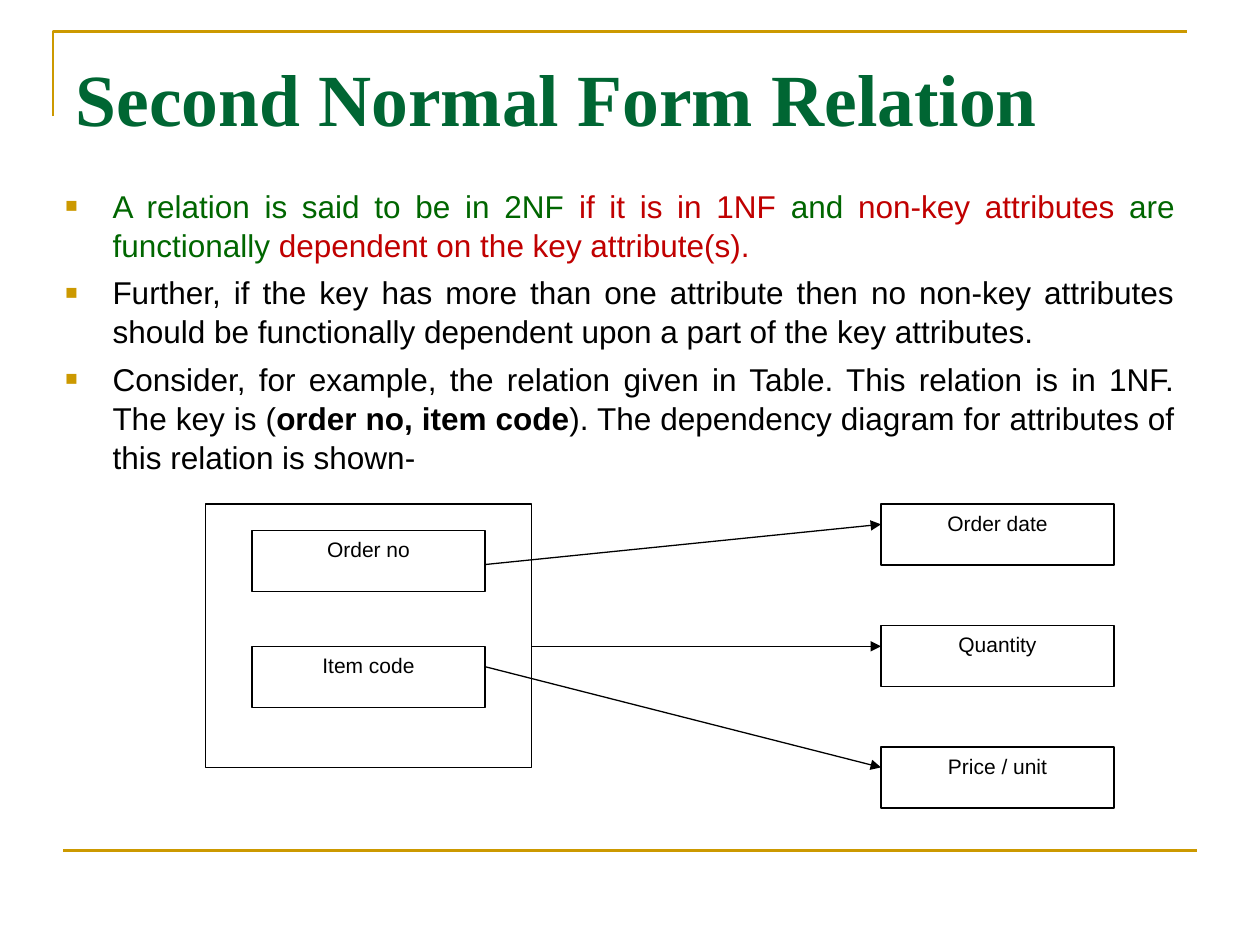
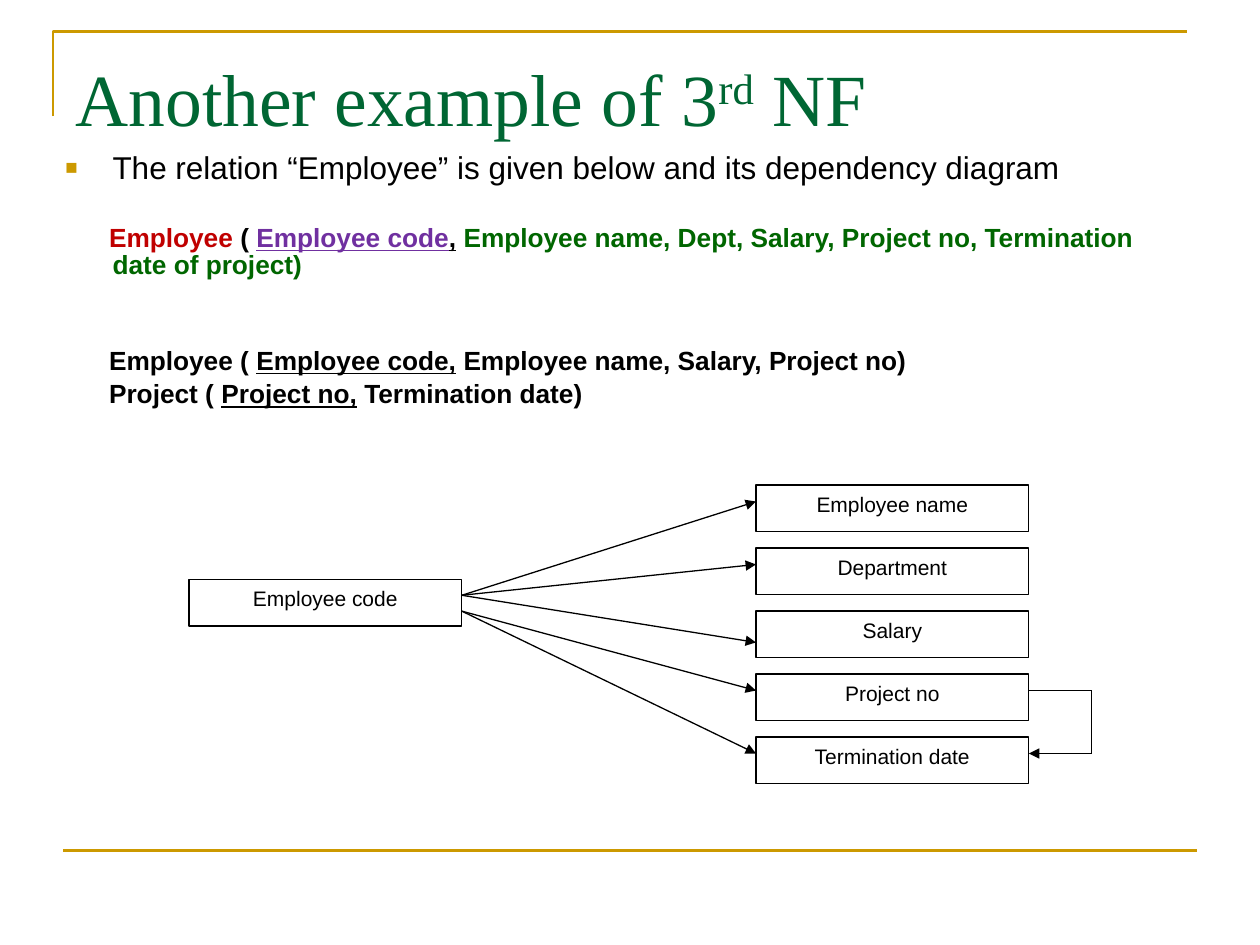
import pptx
import pptx.util
import pptx.dml.color
import pptx.enum.shapes
import pptx.enum.text
import pptx.oxml.ns
from lxml import etree

Cm = pptx.util.Cm
Pt = pptx.util.Pt
ALIGN = pptx.enum.text.PP_ALIGN

COLORS = {
    "gold": "CC9900",
    "title": "006633",
    "green": "006600",
    "red": "C00000",
    "purple": "7030A0",
    "black": "000000",
    "white": "FFFFFF",
}
TEXT_INDENT = 0.95

SECOND_FORM_TITLE = [("Second Normal Form Relation", "bold")]
SECOND_FORM_POINTS = [
    [
        ("A relation is said to be in 2NF ", "green"),
        ("if it is in 1NF ", "red"),
        ("and ", "green"),
        ("non-key attributes ", "red"),
        ("are functionally ", "green"),
        ("dependent on the key attribute(s).", "red"),
    ],
    [("Further, if the key has more than one attribute then no non-key attributes "
      "should be functionally dependent upon a part of the key attributes.", "")],
    [
        ("Consider, for example, the relation given in Table. This relation is in 1NF. "
         "The key is (", ""),
        ("order no, item code", "bold"),
        ("). The dependency diagram for attributes of this relation is shown-", ""),
    ],
]
KEY_ATTRIBUTES = ["Order no", "Item code"]
ORDER_ATTRIBUTES = ["Order date", "Quantity", "Price / unit"]

THIRD_FORM_TITLE = [("Another example of 3", ""), ("rd", "superscript"), (" NF", "")]
THIRD_FORM_POINT = [("The relation “Employee” is given below and its dependency diagram", "")]
SCHEMAS = [
    (23, [
        ("Employee ", "bold red"),
        ("( ", "bold"),
        ("Employee code", "bold purple underline"),
        (",", "bold underline"),
        (" ", "bold"),
        ("Employee name, Dept, Salary, Project no, Termination date of project)", "bold green"),
    ]),
    (39.6, [
        ("Employee ( ", "bold"),
        ("Employee code,", "bold underline"),
        (" Employee name, Salary, Project no)", "bold"),
    ]),
    (3.7, [
        ("Project ( ", "bold"),
        ("Project no,", "bold underline"),
        (" Termination date)", "bold"),
    ]),
]
EMPLOYEE_ATTRIBUTES = [
    ("Employee name", 0.32, 0.33),
    ("Department", 0.32, 0.33),
    ("Salary", 0.32, 0.63),
    ("Project no", 0.64, 0.33),
    ("Termination date", 0.64, 0.33),
]


def rgb(name):
    return pptx.dml.color.RGBColor.from_string(COLORS[name])


def style_line(line, color, width):
    line.color.rgb = rgb(color)
    line.width = Pt(width)


def set_font(paragraph, name, size, color):
    paragraph.font.name = name
    paragraph.font.size = Pt(size)
    paragraph.font.color.rgb = rgb(color)


def add_runs(paragraph, runs):
    for text, style in runs:
        run = paragraph.add_run()
        run.text = text
        for word in style.split():
            if word == "bold":
                run.font.bold = True
            elif word == "underline":
                run.font.underline = True
            elif word == "superscript":
                run._r.get_or_add_rPr().set("baseline", "30000")
            else:
                run.font.color.rgb = rgb(word)


def add_line(slide, start, end, color="black", width=0.75, arrow=True):
    connector = slide.shapes.add_connector(
        pptx.enum.shapes.MSO_CONNECTOR.STRAIGHT, *map(Cm, start + end))
    style_line(connector.line, color, width)
    if arrow:
        etree.SubElement(connector.line._get_or_add_ln(),
                         pptx.oxml.ns.qn("a:tailEnd"), type="triangle")
    etree.SubElement(connector._element.spPr, pptx.oxml.ns.qn("a:effectLst"))


def add_box(slide, left, top, width, height, label=None):
    box = slide.shapes.add_shape(
        pptx.enum.shapes.MSO_SHAPE.RECTANGLE, *map(Cm, (left, top, width, height)))
    box.shadow.inherit = False
    box.fill.solid()
    box.fill.fore_color.rgb = rgb("white")
    style_line(box.line, "black", 0.75)
    if label:
        box.text_frame.vertical_anchor = pptx.enum.text.MSO_ANCHOR.TOP
        paragraph = box.text_frame.paragraphs[0]
        paragraph.text = label
        paragraph.alignment = ALIGN.CENTER
        set_font(paragraph, "Arial", 12, "black")


def add_slide(presentation, title_runs):
    slide = presentation.slides.add_slide(presentation.slide_layouts[5])
    builder = slide.shapes.build_freeform(Cm(1.07), Cm(2.34))
    builder.add_line_segments([(Cm(1.07), Cm(0.63)), (Cm(23.93), Cm(0.63))], close=False)
    corner = builder.convert_to_shape()
    corner.shadow.inherit = False
    corner.fill.background()
    style_line(corner.line, "gold", 1.5)
    add_line(slide, (1.27, 17.15), (24.13, 17.15), "gold", 1.5, arrow=False)

    title = slide.shapes.title
    title.left, title.top, title.width, title.height = map(Cm, (1.27, 0.94, 22.86, 2.5))
    frame = title.text_frame
    frame.word_wrap = True
    frame.auto_size = pptx.enum.text.MSO_AUTO_SIZE.NONE
    frame.vertical_anchor = pptx.enum.text.MSO_ANCHOR.TOP
    paragraph = frame.paragraphs[0]
    paragraph.alignment = ALIGN.LEFT
    set_font(paragraph, "Times New Roman", 42, "title")
    add_runs(paragraph, title_runs)
    return slide


def add_body(slide, top, height):
    body = slide.shapes.add_textbox(*map(Cm, (1.07, top, 22.86, height)))
    body.text_frame.word_wrap = True
    return body.text_frame


def add_paragraph(frame, runs, size, spacing, before, first_indent, bullet=False):
    first = not frame.paragraphs[0].runs
    paragraph = frame.paragraphs[0] if first else frame.add_paragraph()
    paragraph.line_spacing = spacing
    if not first:
        paragraph.space_before = Pt(before)
    properties = paragraph._p.get_or_add_pPr()
    properties.set("marL", str(Cm(TEXT_INDENT)))
    properties.set("indent", str(Cm(first_indent)))
    if bullet:
        color = etree.SubElement(properties, pptx.oxml.ns.qn("a:buClr"))
        etree.SubElement(color, pptx.oxml.ns.qn("a:srgbClr"), val=COLORS["gold"])
        for tag, name, value in (("a:buSzPct", "val", "65000"),
                                 ("a:buFont", "typeface", "Arial"),
                                 ("a:buChar", "char", "■")):
            etree.SubElement(properties, pptx.oxml.ns.qn(tag)).set(name, value)
    set_font(paragraph, "Arial", size, "black")
    add_runs(paragraph, runs)
    return paragraph


def build_second_form(presentation):
    slide = add_slide(presentation, SECOND_FORM_TITLE)
    frame = add_body(slide, 3.61, 6.15)
    for runs in SECOND_FORM_POINTS:
        paragraph = add_paragraph(frame, runs, 18, 1.04, 4.5, -TEXT_INDENT, bullet=True)
        paragraph.alignment = ALIGN.JUSTIFY

    width, height = 4.7, 1.23
    key_left, key_top, key_width = 4.14, 10.16, 6.58
    inner_left = key_left + (key_width - width) / 2
    inner_right = inner_left + width
    target_left = 17.76
    for row, label in enumerate(ORDER_ATTRIBUTES):
        add_box(slide, target_left, key_top + 2.45 * row, width, height, label)
    add_box(slide, key_left, key_top, key_width, 5.31)
    for row, label in enumerate(KEY_ATTRIBUTES):
        add_box(slide, inner_left, 10.69 + 2.34 * row, width, height, label)
    for start_x, start_y, end_y in ((inner_right, 11.38, 10.57),
                                    (inner_right, 13.44, 15.47),
                                    (key_left + key_width, 13.03, 13.03)):
        add_line(slide, (start_x, start_y), (target_left, end_y))


def build_third_form(presentation):
    slide = add_slide(presentation, THIRD_FORM_TITLE)
    frame = add_body(slide, 2.98, 6.99)
    add_paragraph(frame, THIRD_FORM_POINT, 18, 0.85, 0, -TEXT_INDENT, bullet=True)
    for before, runs in SCHEMAS:
        add_paragraph(frame, runs, 15, 0.85, before, -0.07)

    width, height = 5.5, 0.94
    code_left, code_top = 3.81, 11.68
    target_left, target_top, pitch = 15.24, 9.78, 1.27
    tips = []
    for row, (label, start_offset, tip_offset) in enumerate(EMPLOYEE_ATTRIBUTES):
        top = target_top + pitch * row
        tips.append(top + tip_offset)
        add_box(slide, target_left, top, width, height, label)
        add_line(slide, (code_left + width, code_top + start_offset), (target_left, tips[-1]))
    add_box(slide, code_left, code_top, width, height, "Employee code")

    right = target_left + width
    loop = [(right, tips[3]), (right + pitch, tips[3]), (right + pitch, tips[4]), (right, tips[4])]
    for index, (start, end) in enumerate(zip(loop, loop[1:])):
        add_line(slide, start, end, arrow=index == 2)


def main():
    presentation = pptx.Presentation()
    presentation.slide_width = Cm(25.4)
    presentation.slide_height = Cm(19.05)
    build_second_form(presentation)
    build_third_form(presentation)
    presentation.save("out.pptx")


if __name__ == "__main__":
    main()
